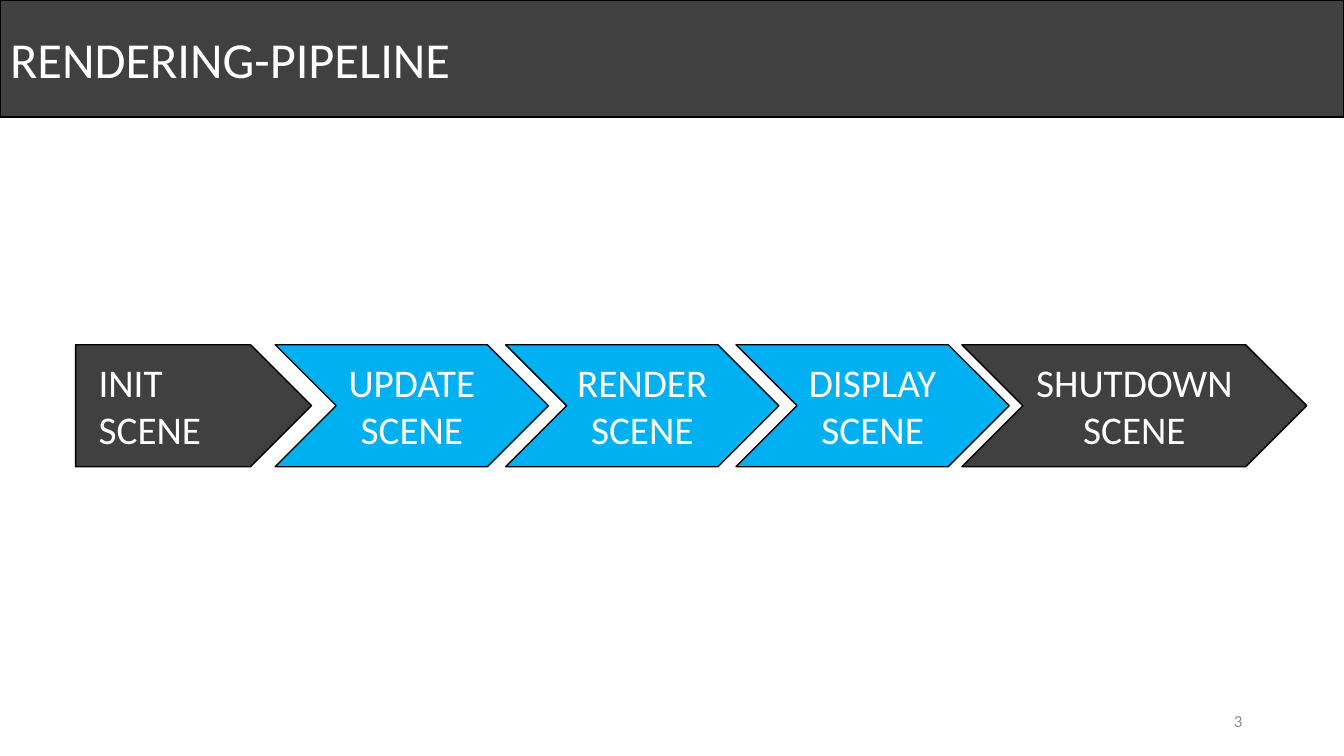
"""Build the rendering pipeline slide."""
from dataclasses import dataclass

from pptx import Presentation
from pptx.dml.color import RGBColor
from pptx.enum import shapes, text
from pptx.util import Inches, Pt

COLORS = {"dark": "404040", "loop": "00B0F0", "outline": "000000",
          "light": "FFFFFF", "muted": "8C8C8C"}
CHEVRON = shapes.MSO_SHAPE.CHEVRON
PENTAGON = shapes.MSO_SHAPE.PENTAGON
LEFT, CENTER, RIGHT = text.PP_ALIGN.LEFT, text.PP_ALIGN.CENTER, text.PP_ALIGN.RIGHT
STAGE_TOP, STAGE_HEIGHT = 3.42, 1.21
LOOP_LEFT, LOOP_PITCH, LOOP_WIDTH = 2.73, 2.285, 2.71


@dataclass
class Stage:
    """One arrow of the pipeline."""
    left: float
    width: float
    color: str
    lines: tuple[str, ...] = ()
    outline: shapes.MSO_SHAPE = CHEVRON


def paint(shape, color: str) -> None:
    """Give a shape its fill and thin outline."""
    shape.fill.solid()
    shape.fill.fore_color.rgb = RGBColor.from_string(COLORS[color])
    shape.line.color.rgb = RGBColor.from_string(COLORS["outline"])
    shape.line.width = Pt(1)


def write(shape, lines: tuple[str, ...], size: int, align: text.PP_ALIGN,
          color: str = "light") -> None:
    """Fill a shape with one paragraph per line, centred vertically."""
    frame = shape.text_frame
    frame.word_wrap = True
    frame.auto_size = text.MSO_AUTO_SIZE.NONE
    frame.vertical_anchor = text.MSO_ANCHOR.MIDDLE
    frame.text = "\n".join(lines)
    for paragraph in frame.paragraphs:
        paragraph.alignment = align
        paragraph.font.name = "Calibri"
        paragraph.font.size = Pt(size)
        paragraph.font.color.rgb = RGBColor.from_string(COLORS[color])


def draw_stage(slide, stage: Stage) -> None:
    """Draw one pipeline arrow."""
    arrow = slide.shapes.add_shape(
        stage.outline, Inches(stage.left), Inches(STAGE_TOP),
        Inches(stage.width), Inches(STAGE_HEIGHT))
    arrow.shadow.inherit = False
    paint(arrow, stage.color)
    if stage.lines:
        write(arrow, stage.lines, 28, CENTER)


def main() -> None:
    """Build and save the slide."""
    deck = Presentation()
    deck.slide_width, deck.slide_height = Inches(13.33), Inches(7.5)
    slide = deck.slides.add_slide(deck.slide_layouts[5])

    heading = slide.shapes.title
    heading.left, heading.top = Inches(0), Inches(0)
    heading.width, heading.height = deck.slide_width, Inches(1.16)
    paint(heading, "dark")
    write(heading, ("RENDERING-PIPELINE",), 36, LEFT)

    loop = [Stage(LOOP_LEFT + i * LOOP_PITCH, LOOP_WIDTH, "loop", (step, "SCENE"))
            for i, step in enumerate(("UPDATE", "RENDER", "DISPLAY"))]
    init = Stage(0.75, 2.34, "dark", outline=PENTAGON)
    shutdown = Stage(9.54, 3.42, "dark", ("SHUTDOWN SCENE",))
    for stage in (*loop, init, shutdown):
        draw_stage(slide, stage)

    init_label = slide.shapes.add_textbox(
        Inches(0.88), Inches(3.5), Inches(1.94), Inches(1.04))
    write(init_label, ("INIT", "SCENE"), 28, LEFT)

    page_number = slide.shapes.add_textbox(
        Inches(9.42), Inches(6.95), Inches(3), Inches(0.4))
    write(page_number, ("3",), 12, RIGHT, "muted")

    deck.save("out.pptx")


if __name__ == "__main__":
    main()
